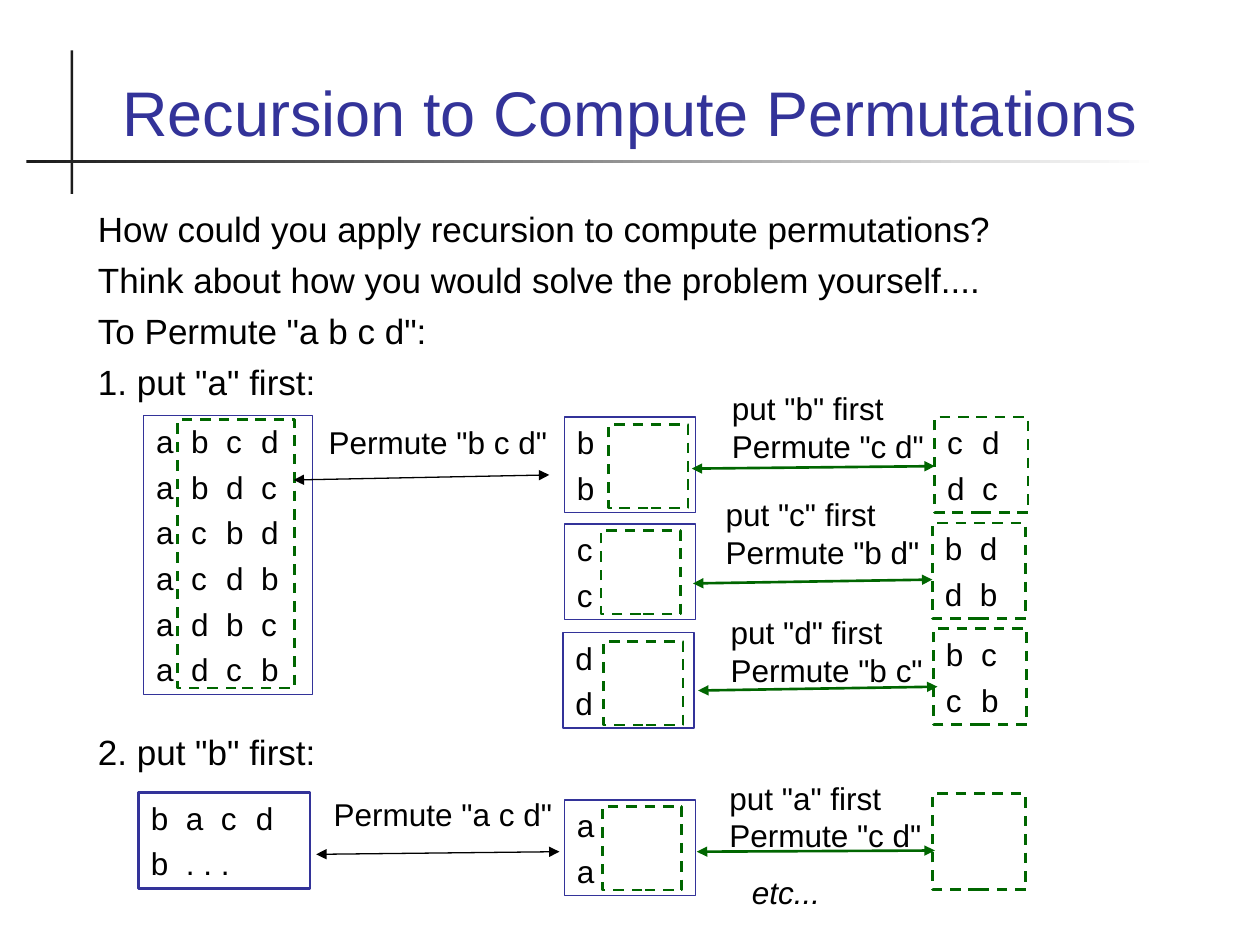
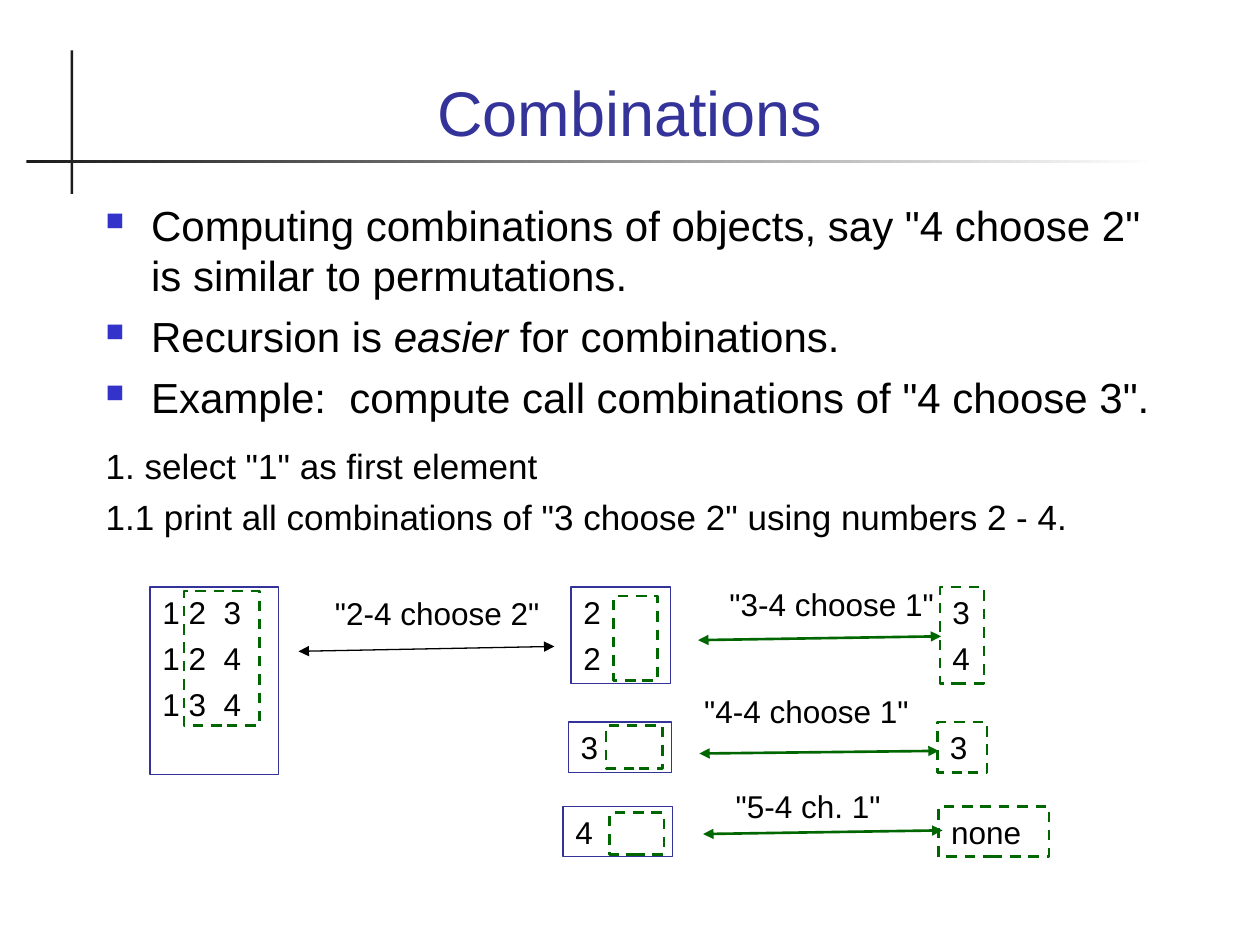
from itertools import combinations, permutations

from lxml.etree import SubElement
from pptx import Presentation
from pptx.dml.color import RGBColor
from pptx.enum.dml import MSO_LINE
from pptx.enum.shapes import MSO_CONNECTOR, MSO_SHAPE
from pptx.enum.text import MSO_ANCHOR, PP_ALIGN
from pptx.oxml.ns import qn
from pptx.util import Pt

BLUE, GREEN, BLACK = "333399", "006600", "000000"
BULLET, RULE, WHITE = "3333CC", "1C1C1C", "FFFFFF"


def hue(code):
    return RGBColor.from_string(code)


def rect(*sizes):
    return [Pt(n) for n in sizes]


def write(shape, text, size=18, color=BLACK, align=PP_ALIGN.LEFT, anchor=MSO_ANCHOR.TOP,
          before=4.5, slant=False, bullet=None, tabs=()):
    frame = shape.text_frame
    frame.word_wrap = True
    frame.vertical_anchor = anchor
    for num, line in enumerate(text):
        para = frame.add_paragraph() if num else frame.paragraphs[0]
        para.alignment = align
        para.space_before = Pt(before)
        props = para._p.get_or_add_pPr()
        if bullet:
            props.set("marL", str(Pt(26)))
            props.set("indent", str(-Pt(26)))
            tint = SubElement(props, qn("a:buClr"))
            SubElement(tint, qn("a:srgbClr"), val=BULLET)
            SubElement(props, qn("a:buSzPct"), val="60000")
            SubElement(props, qn("a:buChar"), char=bullet)
        if tabs:
            stops = SubElement(props, qn("a:tabLst"))
            for stop in tabs:
                SubElement(stops, qn("a:tab"), pos=str(Pt(stop)), algn="l")
        for part, chunk in enumerate(line.split("*")):
            for row, words in enumerate(chunk.split("\v")):
                if row:
                    para.add_line_break()
                run = para.add_run()
                run.text = words
                font = run.font
                font.name, font.size = "Arial", Pt(size)
                font.color.rgb = hue(color)
                font.italic = slant or part % 2 == 1


class Deck:
    def __init__(self):
        self.show = Presentation()
        self.show.slide_width, self.show.slide_height = rect(720, 540)

    def page(self, title):
        self.slide = self.show.slides.add_slide(self.show.slide_layouts[6])
        self.bar(40.3, 28.8, 1.5, 82)
        self.bar(15.1, 91.4, 647.3, 1.5, fade=True)
        self.text([title], 48.2, 20.2, 623.5, 68.4, size=36, color=BLUE,
                  align=PP_ALIGN.CENTER, anchor=MSO_ANCHOR.BOTTOM, before=0)

    def shape(self, *place):
        shape = self.slide.shapes.add_shape(MSO_SHAPE.RECTANGLE, *rect(*place))
        shape.shadow.inherit = False
        return shape

    def bar(self, *place, fade=False):
        bar = self.shape(*place)
        bar.line.fill.background()
        if fade:
            bar.fill.gradient()
            bar.fill.gradient_angle = 0
            for stop, code in zip(bar.fill.gradient_stops, (RULE, WHITE)):
                stop.color.rgb = hue(code)
        else:
            bar.fill.solid()
            bar.fill.fore_color.rgb = hue(RULE)

    def text(self, lines, *place, **style):
        write(self.slide.shapes.add_textbox(*rect(*place)), lines, **style)

    def label(self, words, left, top, **style):
        tall = 50.4 if "\v" in words else 28.8
        self.text([words], left, top, 151, tall, **style)

    def box(self, lines, *place, width=0.75, tabs=(20, 40, 60)):
        box = self.shape(*place)
        box.fill.background()
        box.line.color.rgb = hue(BLUE)
        box.line.width = Pt(width)
        write(box, lines, tabs=tabs)
        return box

    def dash(self, lines, *place):
        box = self.box(lines, *place, width=1.5)
        box.line.color.rgb = hue(GREEN)
        box.line.dash_style = MSO_LINE.DASH

    def arrow(self, *ends, color=BLACK, width=0.75):
        link = self.slide.shapes.add_connector(MSO_CONNECTOR.STRAIGHT, *rect(*ends))
        link.line.color.rgb = hue(color)
        link.line.width = Pt(width)
        props = link.element.spPr
        for end in ("a:headEnd", "a:tailEnd"):
            SubElement(props.find(qn("a:ln")), qn(end), type="triangle")
        SubElement(props, qn("a:effectLst"))

    def step(self, head, outer, inner, ends, words, spot, tail, goal):
        self.box(head, *outer)
        self.dash([], *inner)
        self.arrow(*ends, color=GREEN, width=1.5)
        self.label(words, *spot)
        self.dash(tail, *goal)


def orders(first, rest):
    return ["\t".join((*first, *order)) for order in permutations(rest)]


deck = Deck()

deck.page("Recursion to Compute Permutations")
deck.text(["How could you apply recursion to compute permutations?",
           "Think about how you would solve the problem yourself....",
           'To Permute "a b c d":', '1. put "a" first:'],
          48.9, 115.2, 623.5, 128.9, size=20, before=5)
deck.box(orders("a", "bcd"), 82.1, 237.6, 96.5, 159.1)
deck.dash([], 101.5, 239.8, 67, 153.4)
deck.arrow(167.8, 274.3, 313.9, 271.4)
deck.label('Permute "b c d"', 180.7, 238.3)
deck.text(['2. put "b" first:'], 48.9, 414, 623.5, 31.7, size=20, before=5)
deck.box(["b\ta\tc\td", "b\t. . ."], 79.2, 452.9, 97.9, 54.7, width=1.5)
deck.arrow(180.7, 488.2, 319.7, 486.7)
deck.label('Permute "a c d"', 183.6, 450.7)

steps = [
    ("b", "cd", (322.6, 238.3), (347.8, 242.6), (395.3, 267.8, 534.2, 266.4),
     (411.1, 218.9), (534.2, 238.3)),
    ("c", "bd", (322.6, 299.5), (343.4, 303.1), (396, 333.4, 532.8, 331.2),
     (407.5, 279.4), (532.8, 298.8)),
    ("d", "bc", (321.8, 361.4), (344.9, 366.5), (398.9, 394.6, 535.7, 392.4),
     (410.4, 347), (533.5, 359.3)),
    ("a", "cd", (322.6, 457.2), (344.2, 460.8), (398.2, 486.7, 534.2, 486),
     (409.7, 441.4), (532.8, 453.6)),
]
for first, rest, outer, inner, ends, spot, goal in steps:
    words = f'put "{first}" first\vPermute "{" ".join(rest)}"'
    tail = [] if first == "a" else orders("", rest)
    deck.step([first] * 2, (*outer, 74.9, 54.7), (*inner, 45.4, 47.8), ends,
              words, spot, tail, (*goal, 53.3, 54.7))
deck.label("etc...", 422.6, 495.4, slant=True)

deck.page("Combinations")
deck.text(['Computing combinations of objects, say "4 choose 2" is similar to permutations.',
           "Recursion is *easier* for combinations.",
           'Example:  compute call combinations of "4 choose 3".'],
          53.3, 110.2, 623.5, 135.4, size=24, before=6, bullet="\u25a0")
deck.text(['1. select "1" as first element',
           '1.1 print all combinations of "3 choose 2" using numbers 2 - 4.'],
          53.3, 250.6, 623.5, 60, size=20, before=5)
deck.box([f"1 {a}\t{b}" for a, b in combinations("234", 2)],
         85.7, 335.5, 73.4, 107.3, tabs=(35,))
deck.dash([], 105.1, 337.7, 43.2, 77)
deck.arrow(170.6, 372.2, 316.8, 369.4)
deck.label('"2-4 choose 2"', 184.3, 336.2)

picks = [
    (["2", "2"], (326.2, 335.5, 56.9, 55), (350.6, 340.6, 25.2, 48.2),
     (398.9, 365.8, 537.8, 363.6), '"3-4 choose 1"', (409.7, 330.5),
     ["3", "4"], (537.1, 335.5, 25.2, 55)),
    (["3"], (324.7, 412.6, 59, 28.8), (346.3, 414.7, 32.4, 24.5),
     (399.6, 430.6, 536.4, 429.1), '"4-4 choose 1"', (395.3, 391.7),
     ["3"], (535.7, 412.6, 28.4, 28.8)),
    (["4"], (321.8, 460.8, 62.6, 28.8), (348.5, 464.4, 31, 23.8),
     (401.8, 476.6, 538.6, 474.5), '"5-4 ch. 1"', (413.3, 446.4),
     ["none"], (536.4, 460.8, 63, 28.8)),
]
for pick in picks:
    deck.step(*pick)

deck.show.save("out.pptx")
